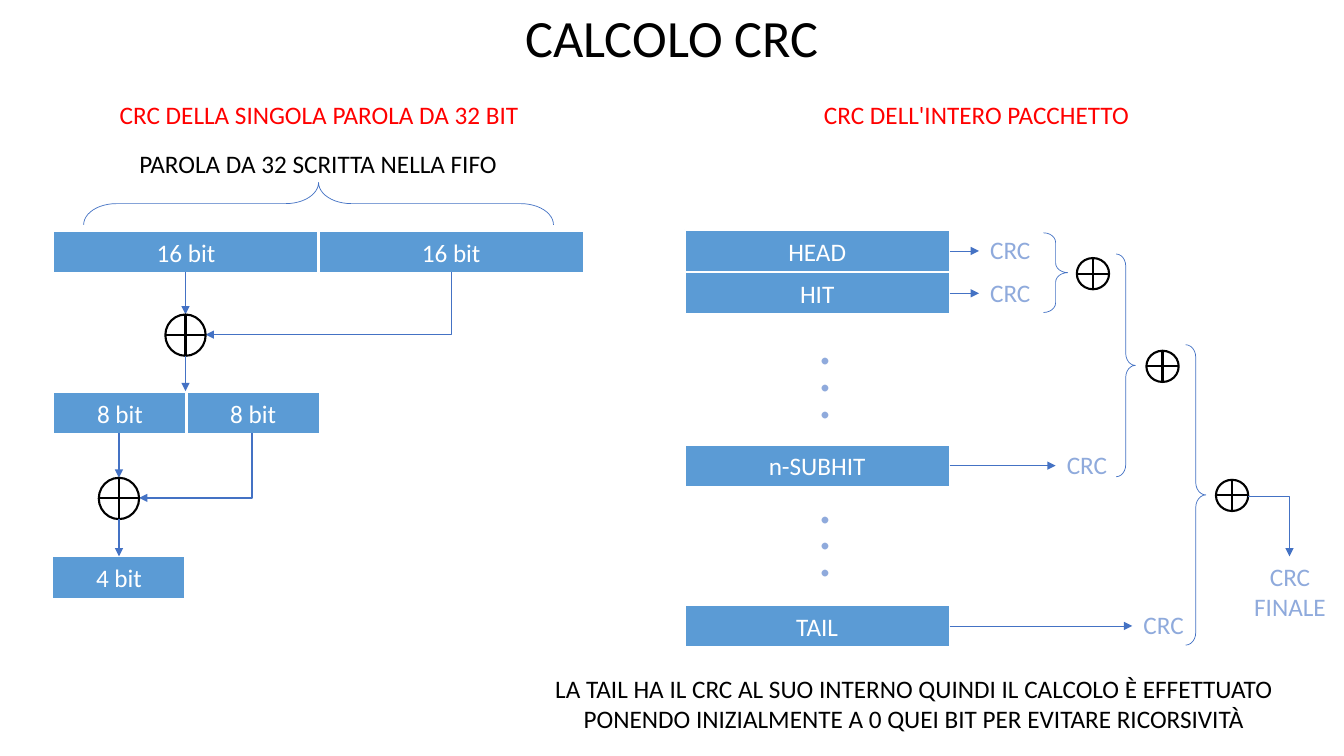
from lxml.etree import SubElement
from pptx import Presentation
from pptx.dml.color import RGBColor
from pptx.enum.shapes import MSO_CONNECTOR as LINK, MSO_SHAPE as SHAPE
from pptx.enum.text import MSO_ANCHOR as ANCHOR, MSO_AUTO_SIZE as FIT, PP_ALIGN as ALIGN
from pptx.oxml.ns import qn
from pptx.util import Inches, Pt

COLORS = {
    "black": "000000",
    "white": "FFFFFF",
    "red": "FF0000",
    "block": "5B9BD5",
    "link": "4472C4",
    "crc": "8FAADC",
}
ROW_HEIGHT = 0.42
WORD_WIDTH = 2.63
BYTE_WIDTH = 1.32


def rgb(name):
    return RGBColor.from_string(COLORS[name])


def write(frame, text, color, size=18):
    frame.text = text
    for paragraph in frame.paragraphs:
        paragraph.alignment = ALIGN.CENTER
        for run in paragraph.runs:
            run.font.name = "Calibri"
            run.font.size = Pt(size)
            run.font.color.rgb = rgb(color)


def add_label(slide, text, left, top, width, height=0.4, color="black", size=18):
    label = slide.shapes.add_textbox(
        Inches(left), Inches(top), Inches(width), Inches(height))
    frame = label.text_frame
    frame.word_wrap = True
    frame.auto_size = FIT.SHAPE_TO_FIT_TEXT
    write(frame, text, color, size)
    return label


def add_dots(slide, top):
    dots = add_label(slide, ". . .", 7.88, top, 0.88, 0.87, "crc", 40)
    dots.text_frame._txBody.bodyPr.set("vert", "vert")


def add_outline(slide, kind, left, top, width, height, line, weight, fill=None):
    shape = slide.shapes.add_shape(
        kind, Inches(left), Inches(top), Inches(width), Inches(height))
    shape.shadow.inherit = False
    if fill:
        shape.fill.solid()
        shape.fill.fore_color.rgb = rgb(fill)
    else:
        shape.fill.background()
    shape.line.color.rgb = rgb(line)
    shape.line.width = Pt(weight)
    return shape


def add_block(slide, text, left, top, width):
    block = add_outline(slide, SHAPE.RECTANGLE, left, top, width, ROW_HEIGHT,
                        "white", 1.5, "block")
    block.text_frame.vertical_anchor = ANCHOR.MIDDLE
    write(block.text_frame, text, "white")


def add_xor(slide, left, top, width=0.32, height=0.31):
    add_outline(slide, SHAPE.FLOWCHART_OR, left, top, width, height,
                "black", 1.5, "white")


def add_brace(slide, left, top, width, height, curve, rotation=0):
    brace = add_outline(slide, SHAPE.RIGHT_BRACE, left, top, width, height, "link", 0.5)
    brace.adjustments[0] = curve
    brace.rotation = rotation


def add_arrow(slide, x1, y1, x2, y2, weight, kind=LINK.STRAIGHT):
    arrow = slide.shapes.add_connector(
        kind, Inches(x1), Inches(y1), Inches(x2), Inches(y2))
    arrow.line.color.rgb = rgb("link")
    arrow.line.width = Pt(weight)
    SubElement(arrow.line._get_or_add_ln(), qn("a:tailEnd"), type="triangle")
    properties = arrow._element.spPr
    SubElement(properties, qn("a:effectLst"))
    if kind == LINK.ELBOW:
        properties.find(qn("a:prstGeom")).set("prst", "bentConnector2")
    return arrow


def add_down_left_arrow(slide, x1, y1, x2, y2):
    mid_x, mid_y = (x1 + x2) / 2, (y1 + y2) / 2
    half_w, half_h = (y2 - y1) / 2, (x1 - x2) / 2
    arrow = add_arrow(slide, mid_x - half_w, mid_y - half_h,
                      mid_x + half_w, mid_y + half_h, 1, LINK.ELBOW)
    arrow._element.spPr.find(qn("a:xfrm")).set("rot", str(90 * 60000))


def add_title(slide):
    title = slide.shapes.title
    title.left, title.top = Inches(1.1), Inches(0.15)
    title.width, title.height = Inches(11.13), Inches(0.57)
    title.text_frame.auto_size = FIT.NONE
    title.text_frame.vertical_anchor = ANCHOR.MIDDLE
    write(title.text_frame, "CALCOLO CRC", "black", 37.4)
    title.text_frame.paragraphs[0].line_spacing = 0.7


def add_word_crc(slide):
    add_label(slide, "CRC DELLA SINGOLA PAROLA DA 32 BIT", 1.01, 0.94, 4.31, color="red")
    add_label(slide, "PAROLA DA 32 SCRITTA NELLA FIFO", 1, 1.42, 4.31)
    add_brace(slide, 2.95, -0.31, 0.42, 4.66, 0.775, 270)
    for text, top, width in (("16 bit", 2.29, WORD_WIDTH), ("8 bit", 3.89, BYTE_WIDTH)):
        for column in range(2):
            add_block(slide, text, 0.53 + column * width, top, width)
    add_block(slide, "4 bit", 0.52, 5.52, BYTE_WIDTH)

    for center, right, start, xor_top, end in (
            (1.84, 4.48, 2.7, 3.12, 3.88), (1.18, 2.5, 4.3, 4.74, 5.52)):
        add_arrow(slide, center, start, center, xor_top, 1)
        add_down_left_arrow(slide, right, start, center + 0.2, xor_top + 0.2)
        add_xor(slide, center - 0.2, xor_top, 0.4, 0.41)
        add_arrow(slide, center, xor_top + 0.41, center, end, 1)


def add_packet_crc(slide):
    add_label(slide, "CRC DELL'INTERO PACCHETTO", 7.53, 0.94, 4.31, color="red")
    for text, top, crc_left in (("HEAD", 2.28, 9.71), ("HIT", 2.7, 9.71),
                                ("n-SUBHIT", 4.41, 10.47), ("TAIL", 6, 11.23)):
        add_block(slide, text, 6.79, top, WORD_WIDTH)
        add_arrow(slide, 9.42, top + 0.21, crc_left, top + 0.21, 0.5)
        add_label(slide, "CRC", crc_left, top, 0.62, color="crc")
    for top in (3.42, 4.99):
        add_dots(slide, top)

    for brace, xor in (((10.35, 2.31, 0.24, 0.79, 0.396), (10.68, 2.56)),
                       ((11.07, 2.52, 0.19, 2.21, 0.634), (11.37, 3.48)),
                       ((11.76, 3.42, 0.2, 2.98, 0.623), (12.06, 4.76))):
        add_brace(slide, *brace)
        add_xor(slide, *xor)
    add_arrow(slide, 12.38, 4.92, 12.79, 5.52, 0.5, LINK.ELBOW)
    add_label(slide, "CRC\nFINALE", 12.33, 5.52, 0.93, 0.71, "crc")
    add_label(slide, "LA TAIL HA IL CRC AL SUO INTERNO QUINDI IL CALCOLO È EFFETTUATO "
              "PONENDO INIZIALMENTE A 0 QUEI BIT PER EVITARE RICORSIVITÀ",
              4.91, 6.63, 8.31, 0.71)


def main():
    deck = Presentation()
    deck.slide_width, deck.slide_height = Inches(13.33), Inches(7.5)
    slide = deck.slides.add_slide(deck.slide_layouts[5])
    add_title(slide)
    add_word_crc(slide)
    add_packet_crc(slide)
    deck.save("out.pptx")


if __name__ == "__main__":
    main()
